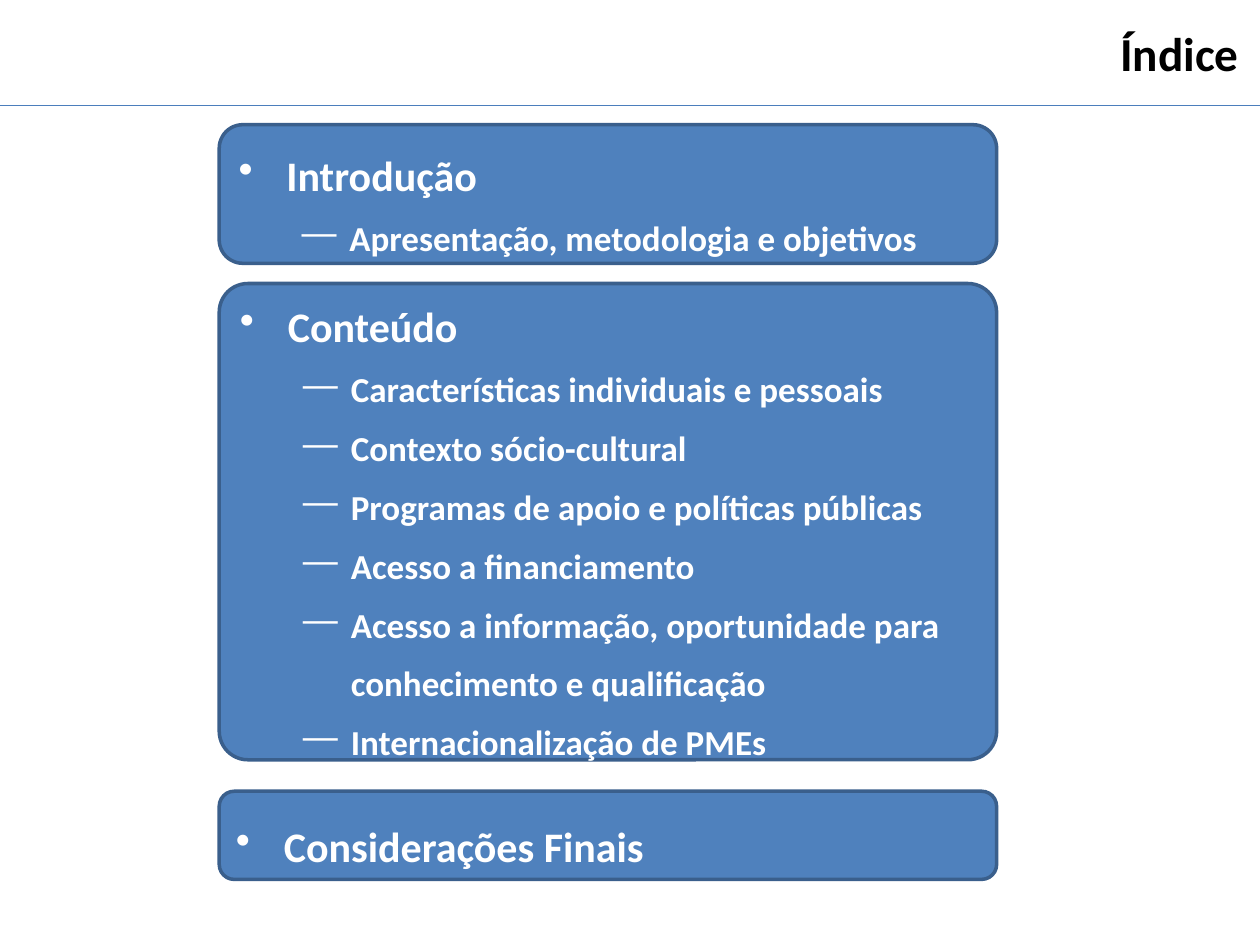
from lxml.etree import SubElement
from pptx import Presentation
from pptx.dml.color import RGBColor
from pptx.enum.shapes import MSO_CONNECTOR as Connector, MSO_SHAPE as Shape
from pptx.enum.text import MSO_ANCHOR as Anchor, MSO_AUTO_SIZE as AutoSize, PP_ALIGN as Align
from pptx.oxml.ns import qn
from pptx.util import Inches, Pt

COLUMNS, ROWS = 100, 75
TITLE_ONLY = 5


def color(value):
    return RGBColor.from_string(value)


class IndexSlide:
    font = "Calibri"
    fill, outline, rule_color = "4F81BD", "3A5F8C", "4B7EBC"
    light, dark = "FFFFFF", "000000"
    levels = [("•", 24, 0.38), ("―", 20, 0.88)]
    hanging = 0.38

    def __init__(self, presentation):
        self.column = presentation.slide_width / COLUMNS
        self.row = presentation.slide_height / ROWS
        self.slide = presentation.slides.add_slide(presentation.slide_layouts[TITLE_ONLY])

    def place(self, left, top, width, height):
        return (round(left * self.column), round(top * self.row),
                round(width * self.column), round(height * self.row))

    def style(self, paragraph, size, value, align):
        paragraph.alignment = align
        font = paragraph.font
        font.name, font.size, font.bold = self.font, Pt(size), True
        font.color.rgb = color(value)

    def title(self, text, left, top, width, height):
        shape = self.slide.shapes.title
        shape.left, shape.top, shape.width, shape.height = self.place(left, top, width, height)
        frame = shape.text_frame
        frame.text = text
        frame.word_wrap, frame.auto_size = True, AutoSize.NONE
        frame.vertical_anchor = Anchor.MIDDLE
        self.style(frame.paragraphs[0], 27, self.dark, Align.RIGHT)

    def rule(self, top):
        left, height, right, _ = self.place(0, top, COLUMNS, 0)
        line = self.slide.shapes.add_connector(Connector.STRAIGHT, left, height, right, height)
        line.line.color.rgb, line.line.width = color(self.rule_color), Pt(0.75)
        SubElement(line._element.spPr, qn("a:effectLst"))

    def bullet(self, paragraph, text, level):
        mark, size, margin = self.levels[level]
        paragraph.text, paragraph.level, paragraph.line_spacing = text, level, 1.4
        self.style(paragraph, size, self.light, Align.LEFT)
        properties = paragraph._p.get_or_add_pPr()
        properties.set("marL", str(Inches(margin)))
        properties.set("indent", str(-Inches(self.hanging)))
        bullet = properties.makeelement(qn("a:buChar"), {"char": mark})
        properties.insert_element_before(bullet, "a:tabLst", "a:defRPr", "a:extLst")

    def section(self, heading, items, top, height, rounding):
        shape = self.slide.shapes.add_shape(
            Shape.ROUNDED_RECTANGLE, *self.place(17.4, top, 61.7, height))
        shape.adjustments[0] = rounding
        shape.shadow.inherit = False
        shape.fill.solid()
        shape.fill.fore_color.rgb = color(self.fill)
        shape.line.color.rgb, shape.line.width = color(self.outline), Pt(2)
        frame = shape.text_frame
        frame.word_wrap, frame.vertical_anchor = True, Anchor.MIDDLE
        self.bullet(frame.paragraphs[0], heading, 0)
        for item in items:
            self.bullet(frame.add_paragraph(), item, 1)


def main():
    presentation = Presentation()
    presentation.slide_width, presentation.slide_height = Inches(10), Inches(7.5)
    index = IndexSlide(presentation)
    index.title("Índice", 11.4, 1.9, 87.9, 4.6)
    index.rule(8.4)
    index.section("Introdução", ["Apresentação, metodologia e objetivos"], 9.9, 11, 0.17)
    index.section("Conteúdo", [
        "Características individuais e pessoais",
        "Contexto sócio-cultural",
        "Programas de apoio e políticas públicas",
        "Acesso a financiamento",
        "Acesso a informação, oportunidade para conhecimento e qualificação",
        "Internacionalização de PMEs",
    ], 22.5, 37.8, 0.06)
    index.section("Considerações Finais", [], 62.8, 7, 0.17)
    presentation.save("out.pptx")


if __name__ == "__main__":
    main()
